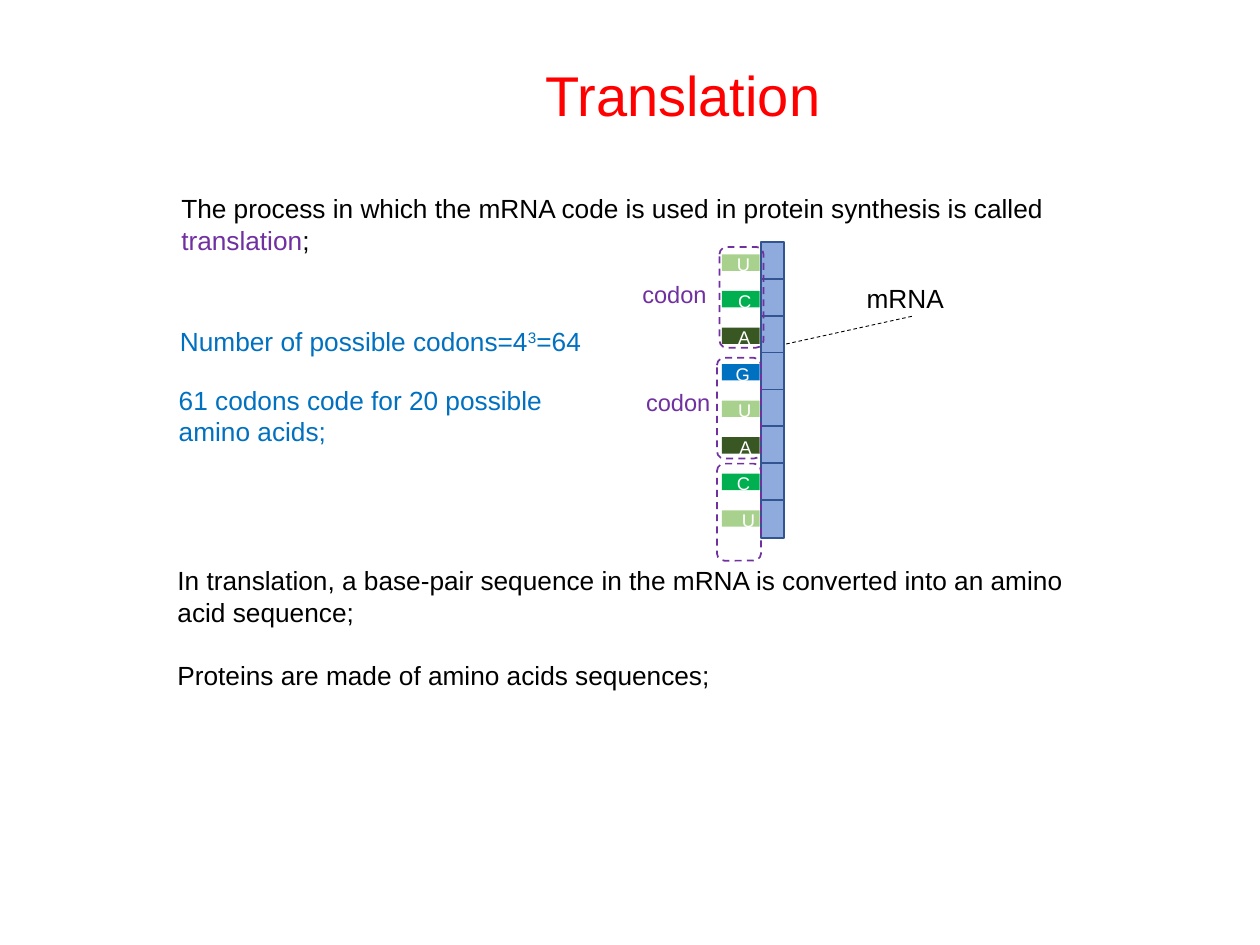
import pptx
import pptx.util
import pptx.dml.color
import pptx.enum.dml
import pptx.enum.shapes
import pptx.enum.text
import pptx.oxml
from pptx.util import Inches

BLACK, WHITE, PURPLE, BLUE = "000000", "FFFFFF", "7030A0", "0070C0"
BASE_COLOURS = {"U": "A9D18E", "C": "00B050", "A": "385723", "G": BLUE}
DASH = pptx.enum.dml.MSO_LINE.DASH


def rgb(colour):
    return pptx.dml.color.RGBColor.from_string(colour)


def add_text(left, top, width, height, paragraphs, size, wrap=False):
    """Each paragraph is a list of (text, colour) runs."""
    box = slide.shapes.add_textbox(Inches(left), Inches(top), Inches(width), Inches(height))
    frame = box.text_frame
    frame.word_wrap = wrap
    for i, runs in enumerate(paragraphs):
        paragraph = frame.paragraphs[0] if i == 0 else frame.add_paragraph()
        for words, colour in runs:
            run = paragraph.add_run()
            run.text = words
            run.font.name = "Arial"
            run.font.size = pptx.util.Pt(size)
            run.font.color.rgb = rgb(colour)
    return frame


presentation = pptx.Presentation()
presentation.slide_width = Inches(10)
presentation.slide_height = Inches(7.5)
slide = presentation.slides.add_slide(presentation.slide_layouts[5])
shapes = slide.shapes
preset = pptx.enum.shapes.MSO_SHAPE

# Title
title = shapes.title
title.left, title.top = Inches(3.59), Inches(0.43)
title.width, title.height = Inches(3.66), Inches(0.53)
title.text_frame.text = "Translation"
title.text_frame.vertical_anchor = pptx.enum.text.MSO_ANCHOR.TOP
heading = title.text_frame.paragraphs[0]
heading.alignment = pptx.enum.text.PP_ALIGN.CENTER
heading.runs[0].font.name = "Arial"
heading.runs[0].font.size = pptx.util.Pt(32)
heading.runs[0].font.color.rgb = rgb("FF0000")

# Definition
add_text(1.34, 1.48, 7.21, 0.61, [[
    ("The process in which the mRNA code is used in protein synthesis is called ", BLACK),
    ("translation", PURPLE), (";", BLACK)]], 15, wrap=True)

# mRNA backbone
for i in range(8):
    segment = shapes.add_shape(preset.RECTANGLE, Inches(6.04), Inches(1.92 + i * 2.05 / 7),
                               Inches(0.18), Inches(0.3))
    segment.shadow.inherit = False
    segment.fill.solid()
    segment.fill.fore_color.rgb = rgb("8FAADC")
    segment.line.color.rgb = rgb("325491")
    segment.line.width = pptx.util.Pt(1)

# Bases with their letters
letter_lefts = [5.75, 5.76, 5.76, 5.74, 5.76, 5.77, 5.75, 5.79]
for i, (letter, letter_left) in enumerate(zip("UCAGUACU", letter_lefts)):
    base = shapes.add_shape(preset.RECTANGLE, Inches(5.73), Inches(2.02 + i * 0.29),
                            Inches(0.3), Inches(0.13))
    base.shadow.inherit = False
    base.fill.solid()
    base.fill.fore_color.rgb = rgb(BASE_COLOURS[letter])
    base.line.fill.background()
    add_text(letter_left, 1.96 + i * 0.29, 0.31, 0.28, [[(letter, WHITE)]], 10.5)

# mRNA label and its leader
leader = shapes.add_connector(pptx.enum.shapes.MSO_CONNECTOR.STRAIGHT,
                              Inches(6.24), Inches(2.73), Inches(7.24), Inches(2.51))
leader.line.color.rgb = rgb(BLACK)
leader.line.width = pptx.util.Pt(0.5)
leader.line.dash_style = DASH
leader._element.spPr.append(pptx.oxml.parse_xml(
    '<a:effectLst xmlns:a="http://schemas.openxmlformats.org/drawingml/2006/main"/>'))
add_text(6.78, 2.19, 0.82, 0.35, [[("mRNA", BLACK)]], 15)

# Conclusions
conclusions = add_text(1.31, 4.43, 7.38, 1.11, [
    [("In translation, a base-pair sequence in the mRNA is converted into an amino acid sequence;",
      BLACK)],
    [("Proteins are made of amino acids sequences;", BLACK)]], 15, wrap=True)
conclusions.paragraphs[1].space_before = pptx.util.Pt(18)

# Codon counts
count = add_text(1.33, 2.53, 3.43, 0.35, [[
    ("Number of possible codons=4", BLUE), ("3", BLUE), ("=64", BLUE)]], 15)
exponent = count.paragraphs[0].runs[1]
exponent._r.get_or_add_rPr().set("baseline", "30000")
add_text(1.32, 3, 3.12, 0.61, [
    [("61 codons code for 20 possible", BLUE)], [("amino acids;", BLUE)]], 15)

# Codon outlines and labels
for left, top, height in [(5.71, 1.96, 0.8), (5.69, 2.84, 0.8), (5.69, 3.68, 0.77)]:
    codon = shapes.add_shape(preset.ROUNDED_RECTANGLE, Inches(left), Inches(top),
                             Inches(0.35), Inches(height))
    codon.shadow.inherit = False
    codon.fill.background()
    codon.line.color.rgb = rgb(PURPLE)
    codon.line.width = pptx.util.Pt(1)
    codon.line.dash_style = DASH
for left, top in [(5, 2.17), (5.03, 3.03)]:
    add_text(left, top, 0.72, 0.33, [[("codon", PURPLE)]], 13.5)

presentation.save("out.pptx")
